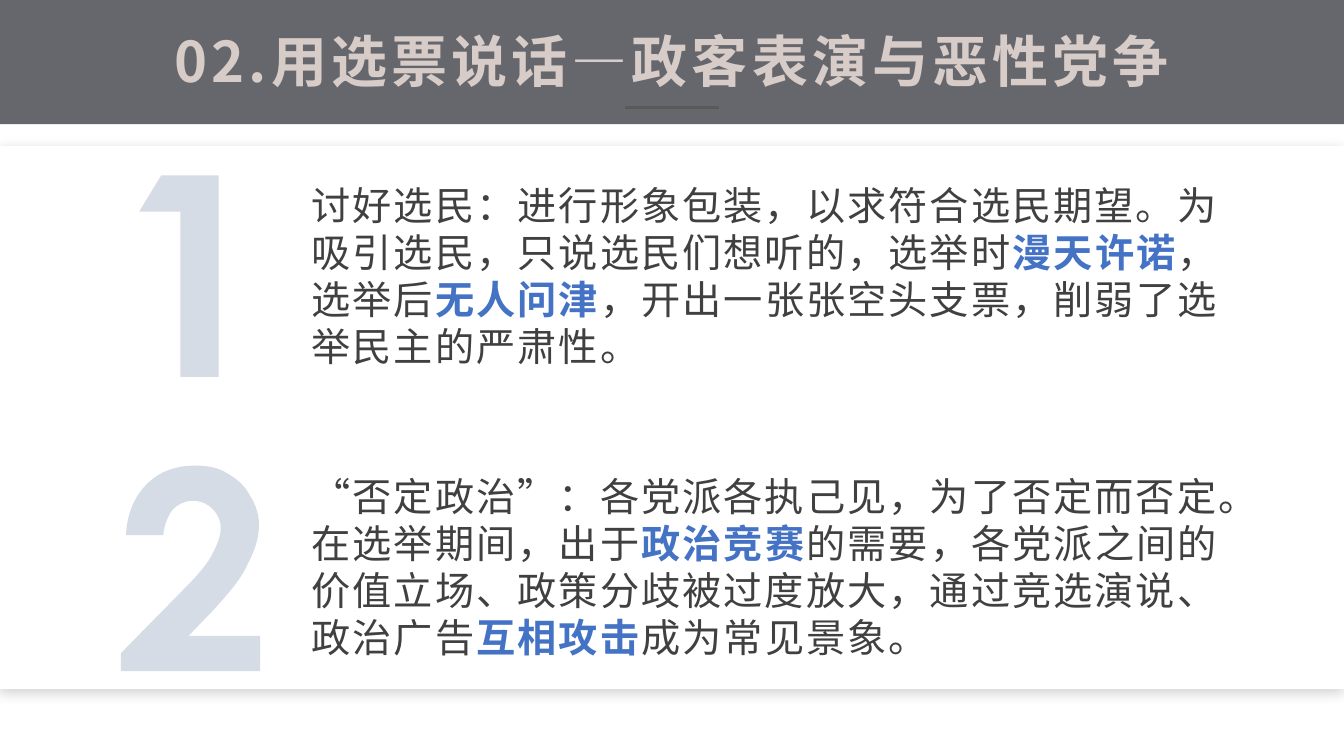
import dataclasses

import lxml.etree
import pptx
import pptx.dml.color
import pptx.enum.shapes
import pptx.enum.text
import pptx.oxml
import pptx.oxml.ns
import pptx.util

Pt = pptx.util.Pt
qn = pptx.oxml.ns.qn


@dataclasses.dataclass(frozen=True)
class Theme:
    font: str = "Noto Sans CJK SC"
    banner: str = "66676C"
    panel: str = "FFFFFF"
    shadow: str = "0D0D0D"
    title: str = "D7CCC8"
    body: str = "404040"
    accent: str = "4472C4"
    numeral: str = "D6DCE5"
    rule: str = "595959"
    title_size: float = 40
    body_size: float = 28


THEME = Theme()
SLIDE_WIDTH, SLIDE_HEIGHT = 960, 540
UNITS_PER_POINT = 100
POINTS = [
    (129.6, 144, [
        ("讨好选民：进行形象包装，以求符合选民期望。为吸引选民，只说选民们想听的，选举时", False),
        ("漫天许诺", True),
        ("，选举后", False),
        ("无人问津", True),
        ("，开出一张张空头支票，削弱了选举民主的严肃性。", False),
    ]),
    (337.4, 147.6, [
        ("“否定政治”：各党派各执己见，为了否定而否定。在选举期间，出于", False),
        ("政治竞赛", True),
        ("的需要，各党派之间的价值立场、政策分歧被过度放大，通过竞选演说、政治广告", False),
        ("互相攻击", True),
        ("成为常见景象。", False),
    ]),
]
NUMERAL_ONE = [
    [(115.2, 125.3)], [(156.2, 125.3)], [(156.2, 269.3)],
    [(128.9, 269.3)], [(128.9, 151.2)], [(99.4, 151.2)],
]
NUMERAL_TWO = [
    [(139.7, 332.6)],
    [(148.3, 332.6), (156.2, 334.1), (162.7, 338.4)],
    [(169.2, 342), (175, 347), (178.6, 354.2)],
    [(182.9, 360.7), (185, 367.9), (185, 375.1)],
    [(185, 383.8), (182.2, 393.1), (177.1, 402.5)],
    [(172.8, 412.6), (163.4, 424.1), (150.5, 437.8)],
    [(134.6, 454.3)], [(185.8, 454.3)], [(185.8, 479.5)],
    [(86.4, 479.5)], [(86.4, 466.6)], [(131, 421.2)],
    [(141.8, 410.4), (149, 401.8), (151.9, 395.3)],
    [(155.5, 388.8), (157.7, 382.3), (157.7, 377.3)],
    [(157.7, 371.5), (155.5, 367.2), (151.9, 363.6)],
    [(148.3, 360), (144, 357.8), (137.5, 357.8)],
    [(131.8, 357.8), (127.4, 360), (123.1, 364.3)],
    [(119.5, 369.4), (117.4, 375.1), (116.6, 382.3)],
    [(90, 382.3)],
    [(90.7, 367.2), (95.8, 355), (105.1, 345.6)],
    [(113.8, 337), (125.3, 332.6), (139.7, 332.6)],
]


def rgb(color):
    return pptx.dml.color.RGBColor.from_string(color)


def set_attributes(target, values):
    for name, value in values.items():
        setattr(target, name, value)


def paint(shape, color):
    shape.shadow.inherit = False
    shape.fill.solid()
    shape.fill.fore_color.rgb = rgb(color)
    shape.line.fill.background()


def add_band(slide, top, height, color):
    shape = slide.shapes.add_shape(
        pptx.enum.shapes.MSO_SHAPE.RECTANGLE, 0, Pt(top), Pt(SLIDE_WIDTH), Pt(height))
    paint(shape, color)
    return shape


def add_shadow(shape, color):
    effects = shape._element.spPr.find(qn("a:effectLst"))
    shadow = lxml.etree.SubElement(
        effects, qn("a:outerShdw"), blurRad=str(Pt(10)), dist=str(Pt(3)),
        dir="5400000", algn="t", rotWithShape="0")
    tint = lxml.etree.SubElement(shadow, qn("a:srgbClr"), val=color)
    lxml.etree.SubElement(tint, qn("a:alpha"), val="20000")


def add_run(paragraph, text, size, color, bold, spacing):
    run = paragraph.add_run()
    run.text = text
    set_attributes(run.font, {"name": THEME.font, "size": Pt(size), "bold": bold})
    run.font.color.rgb = rgb(color)
    properties = run.font._element
    properties.set("spc", str(int(spacing * 100)))
    lxml.etree.SubElement(properties, qn("a:ea"), typeface=THEME.font)


def add_text(slide, box, margins, paragraph_format):
    shape = slide.shapes.add_textbox(*map(Pt, box))
    left, top, right, bottom = map(Pt, margins)
    set_attributes(shape.text_frame, {
        "word_wrap": True, "margin_left": left, "margin_top": top,
        "margin_right": right, "margin_bottom": bottom})
    paragraph = shape.text_frame.paragraphs[0]
    set_attributes(paragraph, paragraph_format)
    return paragraph


def add_title(slide, text):
    paragraph = add_text(slide, (0, 16.2, SLIDE_WIDTH, 54.7), (5.8, 2.9, 5.8, 2.9), {
        "alignment": pptx.enum.text.PP_ALIGN.CENTER, "space_after": Pt(8)})
    add_run(paragraph, text, THEME.title_size, THEME.title, True, 3)


def add_point(slide, top, height, runs):
    paragraph = add_text(
        slide, (214.6, top, 677.5, height), (7.9, 0, 6.5, 0), {"space_before": Pt(10)})
    for text, strong in runs:
        color = THEME.accent if strong else THEME.body
        add_run(paragraph, text, THEME.body_size, color, strong, 1.5)


def add_numeral(slide, segments):
    anchors = [tuple(round(value * UNITS_PER_POINT) for value in segment[-1])
               for segment in segments]
    left, top = map(min, zip(*anchors))
    builder = slide.shapes.build_freeform(*anchors[0], scale=Pt(1) / UNITS_PER_POINT)
    builder.add_line_segments(anchors[1:], close=True)
    shape = builder.convert_to_shape()
    paint(shape, THEME.numeral)
    lines = list(shape._element.spPr.iter(qn("a:lnTo")))
    for line, segment in zip(lines, segments[1:]):
        if len(segment) == 3:
            curve = lxml.etree.Element(qn("a:cubicBezTo"))
            for x, y in segment:
                lxml.etree.SubElement(
                    curve, qn("a:pt"), x=str(round(x * UNITS_PER_POINT) - left),
                    y=str(round(y * UNITS_PER_POINT) - top))
            line.getparent().replace(line, curve)


def add_rule(slide, left, right, top):
    connector = slide.shapes.add_connector(
        pptx.enum.shapes.MSO_CONNECTOR.STRAIGHT, Pt(left), Pt(top), Pt(right), Pt(top))
    connector.line.color.rgb = rgb(THEME.rule)
    connector.line.width = Pt(2.25)
    lxml.etree.SubElement(connector._element.spPr, qn("a:effectLst"))


def main():
    presentation = pptx.Presentation()
    set_attributes(presentation, {
        "slide_width": Pt(SLIDE_WIDTH), "slide_height": Pt(SLIDE_HEIGHT)})
    slide = presentation.slides.add_slide(presentation.slide_layouts[6])
    add_band(slide, -1.4, 90, THEME.banner)
    add_shadow(add_band(slide, 104.4, 387.8, THEME.panel), THEME.shadow)
    add_title(slide, "02.用选票说话—政客表演与恶性党争")
    for top, height, runs in POINTS:
        add_point(slide, top, height, runs)
    for segments in (NUMERAL_ONE, NUMERAL_TWO):
        add_numeral(slide, segments)
    add_rule(slide, 446.4, 513.4, 77)
    presentation.save("out.pptx")


if __name__ == "__main__":
    main()
